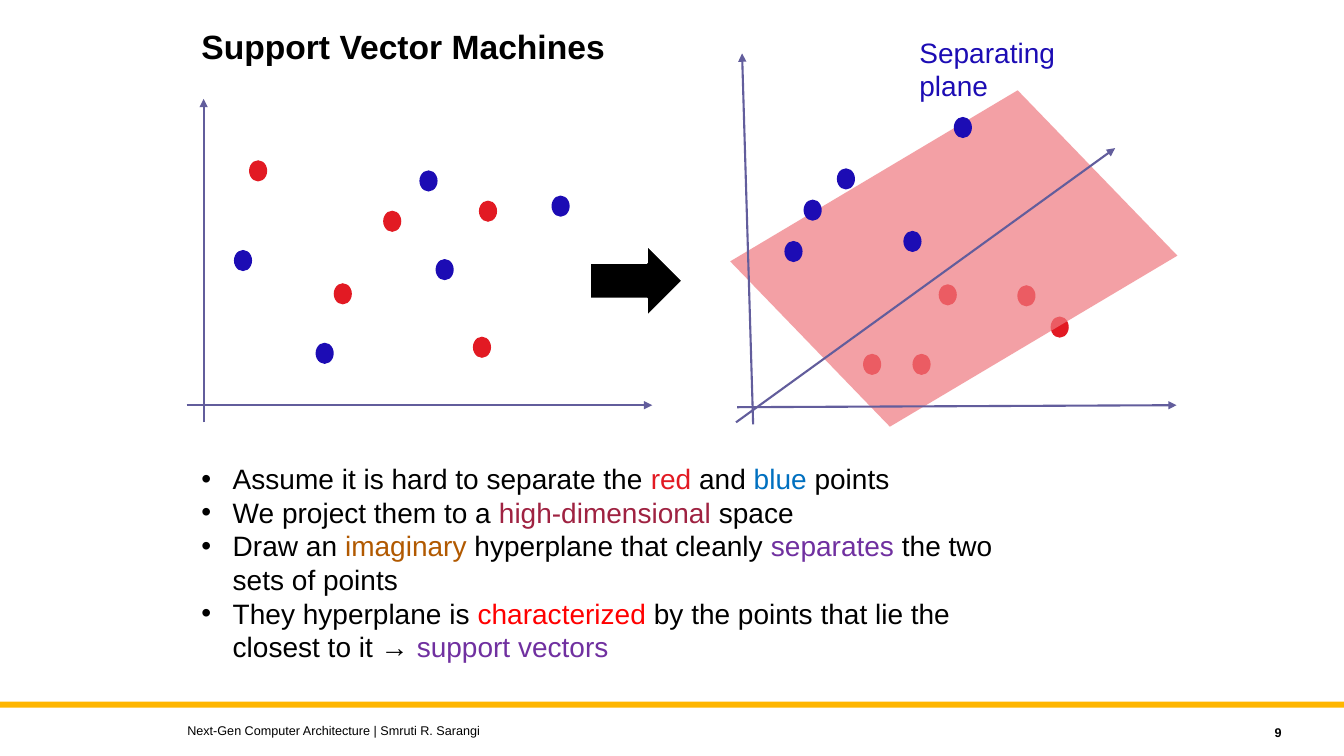
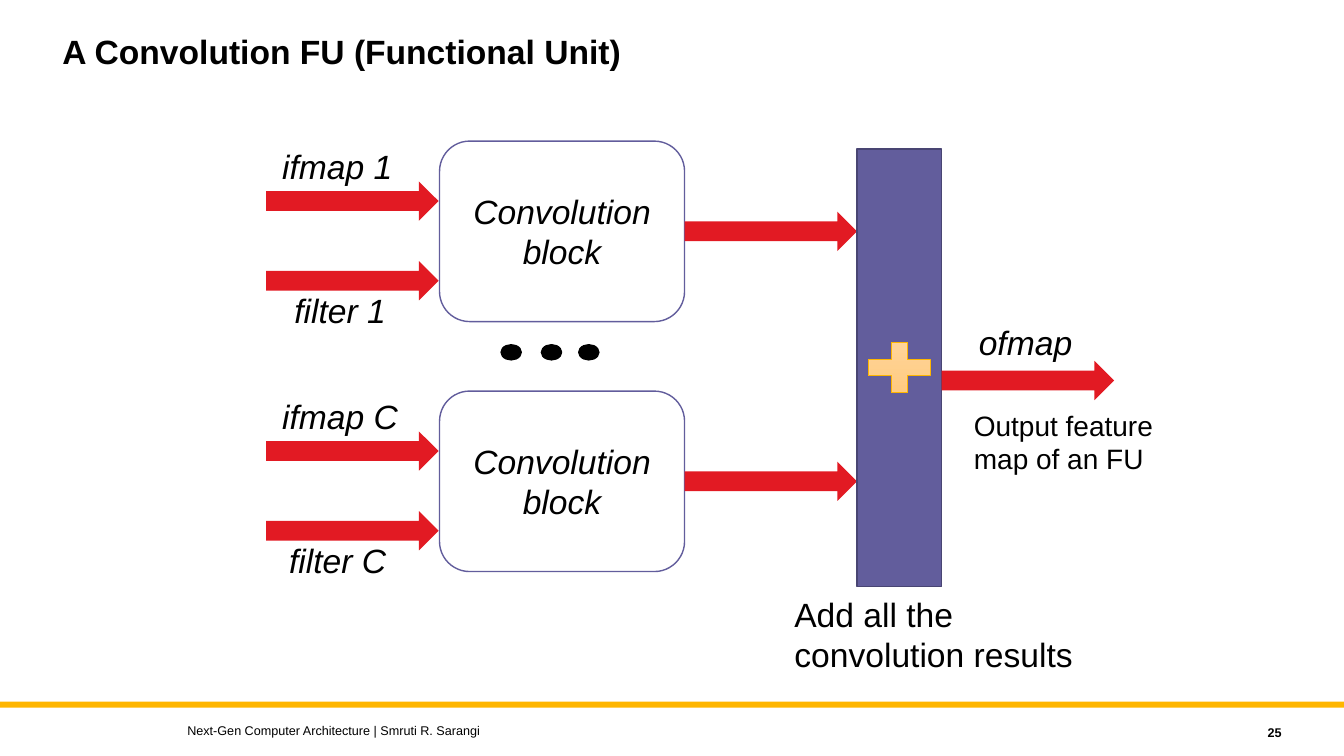
import lxml.etree
import pptx
import pptx.dml.color
import pptx.enum.shapes
import pptx.enum.text
import pptx.oxml.ns
import pptx.util

Inches = pptx.util.Inches
Pt = pptx.util.Pt
qn = pptx.oxml.ns.qn
PRESET = pptx.enum.shapes.MSO_SHAPE
ANCHOR = pptx.enum.text.MSO_ANCHOR
ALIGN = pptx.enum.text.PP_ALIGN

FONT = "Arial"
FOOTER = "Next-Gen Computer Architecture | Smruti R. Sarangi"
COLORS = {
    "black": "000000",
    "white": "FFFFFF",
    "band": "FFB600",
    "red": "E21A23",
    "blue": "1C0CB4",
    "plane": "EF797F",
    "violet": "625D9C",
    "dark violet": "494573",
    "plus top": "FFD69E",
    "plus bottom": "FFC97C",
    "blue word": "0070C0",
    "crimson word": "9F2241",
    "brown word": "B15900",
    "purple word": "7030A0",
    "red word": "FF0000",
}
ARROW_SIZE = (1.71, 0.39)
BLOCK_SIZE = (2.43, 1.79)

FLAT_RED_POINTS = [(2.47, 1.59), (3.8, 2.09), (3.31, 2.81), (4.75, 1.99), (4.69, 3.34)]
FLAT_BLUE_POINTS = [(2.32, 2.48), (4.16, 1.69), (3.13, 3.4), (4.32, 2.57), (5.47, 1.94)]
SPACE_RED_POINTS = [(10.42, 3.14), (9.05, 3.51), (10.09, 2.83), (8.56, 3.51), (9.31, 2.82)]
SPACE_BLUE_POINTS = [(7.78, 2.39), (8.96, 2.29), (7.97, 1.98), (8.3, 1.67), (9.46, 1.16)]
FLAT_AXES = [(1.85, 4.02, 6.47, 4.02), (2.02, 4.19, 2.02, 0.98)]
SPACE_AXES = [(7.31, 4.04, 11.67, 4.02), (7.47, 4.21, 7.36, 0.53), (7.3, 4.19, 11.06, 1.47)]

BULLETS = [
    [("Assume it is hard to separate the ", "black"), ("red", "red"), (" and ", "black"),
     ("blue", "blue word"), (" points", "black")],
    [("We project them to a ", "black"), ("high-dimensional", "crimson word"),
     (" space", "black")],
    [("Draw an ", "black"), ("imaginary", "brown word"),
     (" hyperplane that cleanly ", "black"), ("separates", "purple word"),
     (" the two sets of points", "black")],
    [("They hyperplane is ", "black"), ("characterized", "red word"),
     (" by the points that lie the closest to it → ", "black"),
     ("support vectors", "purple word")],
]


def rgb(name):
    return pptx.dml.color.RGBColor.from_string(COLORS[name])


def style_font(font, size, color="black", bold=False, italic=False):
    font.name = FONT
    font.size = Pt(size)
    font.color.rgb = rgb(color)
    font.bold = bold
    font.italic = italic


def add_text(page, text, left, top, width, height, size, **style):
    """Add a wrapping text box and return it."""
    box = page.shapes.add_textbox(Inches(left), Inches(top), Inches(width), Inches(height))
    box.text_frame.word_wrap = True
    box.text_frame.text = text
    for para in box.text_frame.paragraphs:
        for span in para.runs:
            style_font(span.font, size, **style)
    return box


def add_label(page, text, left, top, width, height=0.5, size=24, **style):
    """Add a diagram label that keeps its own line breaks."""
    box = add_text(page, text, left, top, width, height, size, **style)
    box.text_frame.word_wrap = False
    box.text_frame.auto_size = pptx.enum.text.MSO_AUTO_SIZE.SHAPE_TO_FIT_TEXT


def add_shape(page, preset, left, top, width, height, fill, line=None, weight=1):
    shape = page.shapes.add_shape(
        preset, Inches(left), Inches(top), Inches(width), Inches(height))
    shape.shadow.inherit = False
    shape.fill.solid()
    shape.fill.fore_color.rgb = rgb(fill)
    if line:
        shape.line.color.rgb = rgb(line)
        shape.line.width = Pt(weight)
    else:
        shape.line.fill.background()
    return shape


def add_points(page, points, color):
    for left, top in points:
        add_shape(page, PRESET.OVAL, left, top, 0.18, 0.21, color)


def add_axes(page, axes):
    for ends in axes:
        axis = page.shapes.add_connector(
            pptx.enum.shapes.MSO_CONNECTOR.STRAIGHT, *map(Inches, ends))
        axis.line.color.rgb = rgb("violet")
        axis.line.width = Pt(1.5)
        lxml.etree.SubElement(axis.line._get_or_add_ln(), qn("a:tailEnd"), type="triangle")
        lxml.etree.SubElement(axis._element.spPr, qn("a:effectLst"))


def add_plane(page):
    """Add the tilted, see-through separating plane."""
    plane = add_shape(page, PRESET.PARALLELOGRAM, 7.94, 0.95, 3.04, 3.23, "plane")
    plane.rotation = 46
    color = plane._element.spPr.find(qn("a:solidFill")).find(qn("a:srgbClr"))
    lxml.etree.SubElement(color, qn("a:alpha"), val="70000")


def add_bullets(page, items, left, top, width, height):
    box = add_text(page, "", left, top, width, height, 20)
    frame = box.text_frame
    for index, item in enumerate(items):
        para = frame.add_paragraph() if index else frame.paragraphs[0]
        properties = para._p.get_or_add_pPr()
        properties.set("marL", str(Inches(0.31)))
        properties.set("indent", str(-Inches(0.31)))
        lxml.etree.SubElement(properties, qn("a:buFont"), typeface=FONT)
        lxml.etree.SubElement(properties, qn("a:buChar"), char="•")
        for text, color in item:
            span = para.add_run()
            span.text = text
            style_font(span.font, 20, color)


def add_red_arrow(page, left, top):
    add_shape(page, PRESET.RIGHT_ARROW, left, top, *ARROW_SIZE, "red")


def add_stage(page, top, channel, ifmap_width, filter_left, filter_width):
    """Add a convolution block with its two inputs and its output."""
    block = add_shape(page, PRESET.ROUNDED_RECTANGLE, 4.36, top, *BLOCK_SIZE, "white", "violet")
    frame = block.text_frame
    frame.word_wrap = True
    frame.vertical_anchor = ANCHOR.MIDDLE
    frame.text = "Convolution block"
    frame.paragraphs[0].alignment = ALIGN.CENTER
    style_font(frame.paragraphs[0].runs[0].font, 24, italic=True)
    for left, offset in ((2.64, 0.4), (2.64, 1.19), (6.79, 0.7)):
        add_red_arrow(page, left, top + offset)
    add_label(page, f"ifmap {channel}", 2.7, top, ifmap_width, italic=True)
    add_label(page, f"filter {channel}", filter_left, top + 1.43, filter_width, italic=True)


def add_adder(page):
    add_shape(page, PRESET.RECTANGLE, 8.5, 1.48, 0.84, 4.34, "violet", "dark violet")
    plus = add_shape(page, PRESET.MATH_PLUS, 8.5, 3.31, 0.84, 0.67, "plus top", "band", 0.5)
    plus.fill.gradient()
    plus.fill.gradient_angle = 270
    for stop, color in zip(plus.fill.gradient_stops, ("plus top", "plus bottom")):
        stop.color.rgb = rgb(color)


def add_page(deck, title, left, top, width, number):
    """Add a page with the shared title style, band and footer."""
    page = deck.slides.add_slide(deck.slide_layouts[6])
    add_shape(page, PRESET.RECTANGLE, 0, 6.96, 13.33, 0.06, "band")
    heading = add_text(page, title, left, top, width, 0.9, 24, bold=True)
    heading.text_frame.paragraphs[0].line_spacing = 0.9
    footer = add_text(page, FOOTER, 1.76, 7.12, 8, 0.25, 9)
    page_number = add_text(page, str(number), 11.41, 7.14, 1.4, 0.25, 9, bold=True)
    page_number.text_frame.paragraphs[0].alignment = ALIGN.RIGHT
    for box in (footer, page_number):
        box.text_frame.vertical_anchor = ANCHOR.MIDDLE
    return page


def build_vector_machines(deck):
    page = add_page(deck, "Support Vector Machines", 1.9, 0.25, 7.5, 9)
    add_points(page, SPACE_RED_POINTS, "red")
    add_plane(page)
    add_bullets(page, BULLETS, 1.9, 4.53, 8.52, 2.12)
    add_axes(page, FLAT_AXES)
    add_points(page, FLAT_RED_POINTS, "red")
    add_points(page, FLAT_BLUE_POINTS, "blue")
    add_shape(page, PRESET.RIGHT_ARROW, 5.85, 2.43, 0.92, 0.71, "black", "white", 1.5)
    add_axes(page, SPACE_AXES)
    add_points(page, SPACE_BLUE_POINTS, "blue")
    add_label(page, "Separating\vplane", 9.02, 0.3, 1.55, 0.77, 20, color="blue")


def build_convolution_unit(deck):
    page = add_page(deck, "A Convolution FU (Functional Unit)", 0.52, 0.3, 10, 25)
    add_stage(page, 1.4, "1", 1.3, 2.82, 1.12)
    add_stage(page, 3.88, "C", 1.38, 2.77, 1.17)
    for left in (4.97, 5.37, 5.74):
        add_shape(page, PRESET.OVAL, left, 3.42, 0.2, 0.15, "black", "black")
    add_adder(page)
    add_red_arrow(page, 9.34, 3.58)
    add_label(page, "ofmap", 9.61, 3.14, 1.14, italic=True)
    add_label(page, "Add all the\vconvolution results", 7.78, 5.84, 2.99, 0.91)
    add_label(page, "Output feature\vmap of an FU", 9.56, 4, 1.99, 0.77, 20)


def main():
    deck = pptx.Presentation()
    deck.slide_width = Inches(13.33)
    deck.slide_height = Inches(7.5)
    build_vector_machines(deck)
    build_convolution_unit(deck)
    deck.save("out.pptx")


if __name__ == "__main__":
    main()
